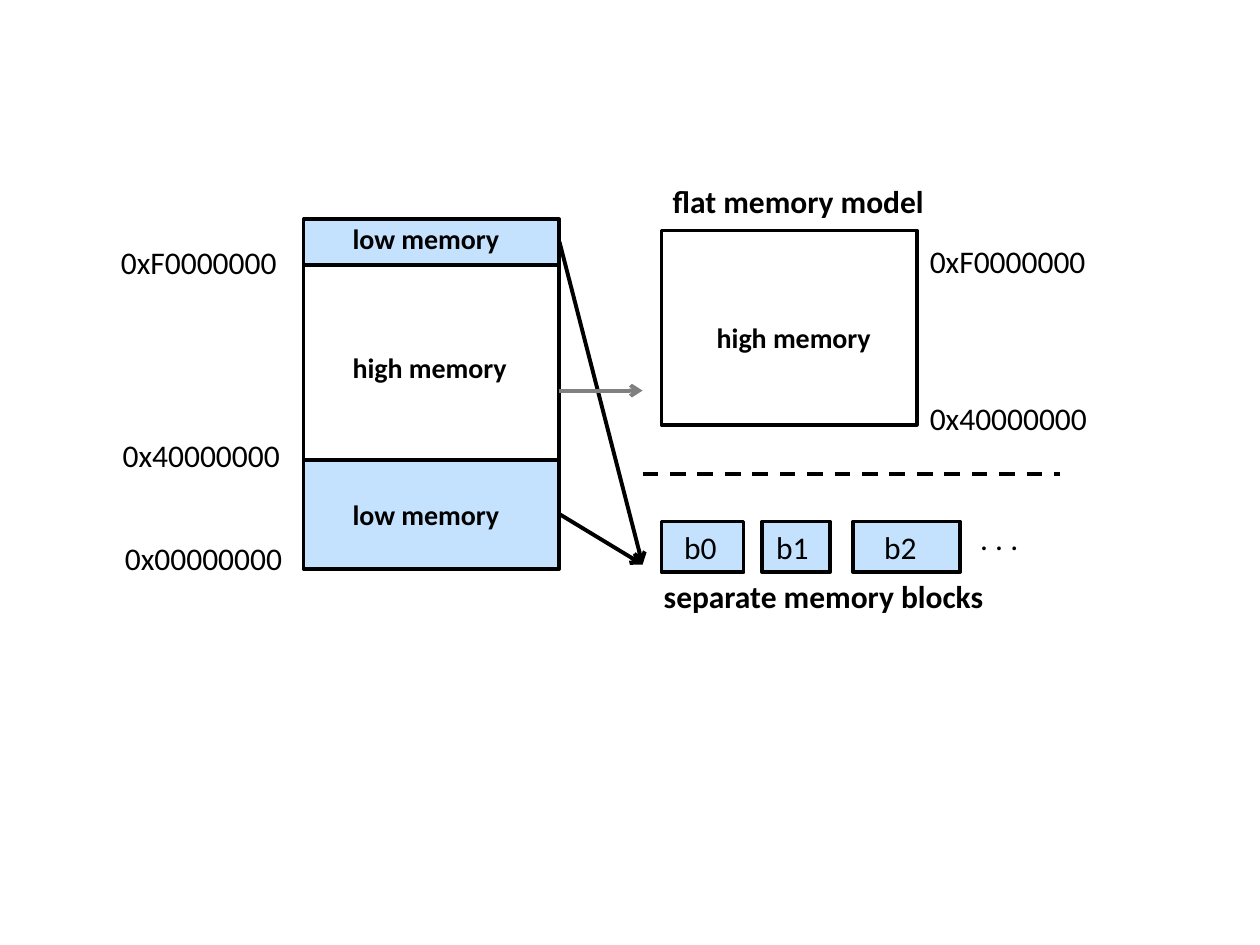
from pptx import Presentation
from pptx.dml.color import RGBColor
from pptx.enum.dml import MSO_LINE
from pptx.enum.shapes import MSO_CONNECTOR, MSO_SHAPE
from pptx.enum.text import MSO_AUTO_SIZE
from pptx.oxml.ns import qn
from pptx.util import Pt
from lxml.etree import SubElement

BLACK, WHITE, GRAY, BLUE = "000000", "FFFFFF", "808080", "C4E2FD"


def color(hex_value):
    return RGBColor.from_string(hex_value)


class Diagram:
    """Holds the text style and the page being drawn on; lengths are points."""

    font = {"name": "Calibri", "size": Pt(18), "bold": False}
    heading = {"bold": True}
    region = {"bold": True, "size": Pt(16)}

    def __init__(self, page):
        self.page = page

    def block(self, left, top, width, height, fill):
        box = self.page.shapes.add_shape(
            MSO_SHAPE.RECTANGLE, Pt(left), Pt(top), Pt(width), Pt(height))
        box.shadow.inherit = False
        box.fill.solid()
        box.fill.fore_color.rgb = color(fill)
        box.line.color.rgb = color(BLACK)
        box.line.width = Pt(2)

    def label(self, text, left, top, width, height=29, wrap=True, **formats):
        box = self.page.shapes.add_textbox(Pt(left), Pt(top), Pt(width), Pt(height))
        frame = box.text_frame
        frame.word_wrap = wrap
        frame.auto_size = MSO_AUTO_SIZE.SHAPE_TO_FIT_TEXT
        span = frame.paragraphs[0].add_run()
        span.text = text
        span.font.color.rgb = color(BLACK)
        for name, value in {**self.font, **formats}.items():
            setattr(span.font, name, value)

    def line(self, start, end, stroke=BLACK, arrow=True, dash=None):
        connector = self.page.shapes.add_connector(
            MSO_CONNECTOR.STRAIGHT, *map(Pt, start + end))
        connector.line.color.rgb = color(stroke)
        connector.line.width = Pt(2.25)
        if dash:
            connector.line.dash_style = dash
        if arrow:
            SubElement(connector.line._get_or_add_ln(), qn("a:tailEnd"), type="arrow")
        SubElement(connector._element.spPr, qn("a:effectLst"))


def draw_address_space(diagram):
    left, width = 173.5, 146
    for top, height, fill in ((125.3, 26.4, BLUE), (262.8, 62.4, BLUE),
                              (151.5, 111.2, WHITE)):
        diagram.block(left, top, width, height, fill)
    for text, x, y in (("0xF0000000", 62, 135.4), ("0x40000000", 63, 245.5),
                       ("0x00000000", 64.3, 304.5)):
        diagram.label(text, x, y, 150)
    for text, y in (("low memory", 123), ("high memory", 196.8),
                    ("low memory", 280.8)):
        diagram.label(text, 194.4, y, 130, 26.6, **diagram.region)


def draw_flat_model(diagram):
    diagram.label("flat memory model", 377.3, 100.2, 217, **diagram.heading)
    diagram.block(378, 131.8, 146, 111, WHITE)
    diagram.label("high memory", 402.5, 179.5, 136, 26.6, **diagram.region)
    for text, y in (("0xF0000000", 134.6), ("0x40000000", 224.6)):
        diagram.label(text, 524.2, y, 143)


def draw_separate_blocks(diagram):
    top = 298
    for text, left, width, text_left in (("b0", 378, 47, 383.8),
                                         ("b1", 435.5, 38.8, 436.5),
                                         ("b2", 487.4, 61.2, 498.2)):
        diagram.block(left, top, width, 29, BLUE)
        diagram.label(text, text_left, top, 33, wrap=False)
    diagram.label(". . .", 553, 293, 36.7, wrap=False)
    diagram.label("separate memory blocks", 372.2, 326.2, 250.6, **diagram.heading)


def draw_links(diagram):
    edge, target = 319.7, 367.2
    for start_y, end_y, stroke in ((138.2, 322.6, BLACK), (293.8, 322.6, BLACK),
                                   (223.2, 223.2, GRAY)):
        diagram.line((edge, start_y), (target, end_y), stroke)
    diagram.line((target, 270.7), (605.5, 270.7), arrow=False, dash=MSO_LINE.DASH)


def main():
    deck = Presentation()
    deck.slide_width, deck.slide_height = Pt(720), Pt(540)
    blank_layout = deck.slide_layouts[6]
    diagram = Diagram(deck.slides.add_slide(blank_layout))
    draw_address_space(diagram)
    draw_flat_model(diagram)
    draw_separate_blocks(diagram)
    draw_links(diagram)
    deck.save("out.pptx")


if __name__ == "__main__":
    main()
